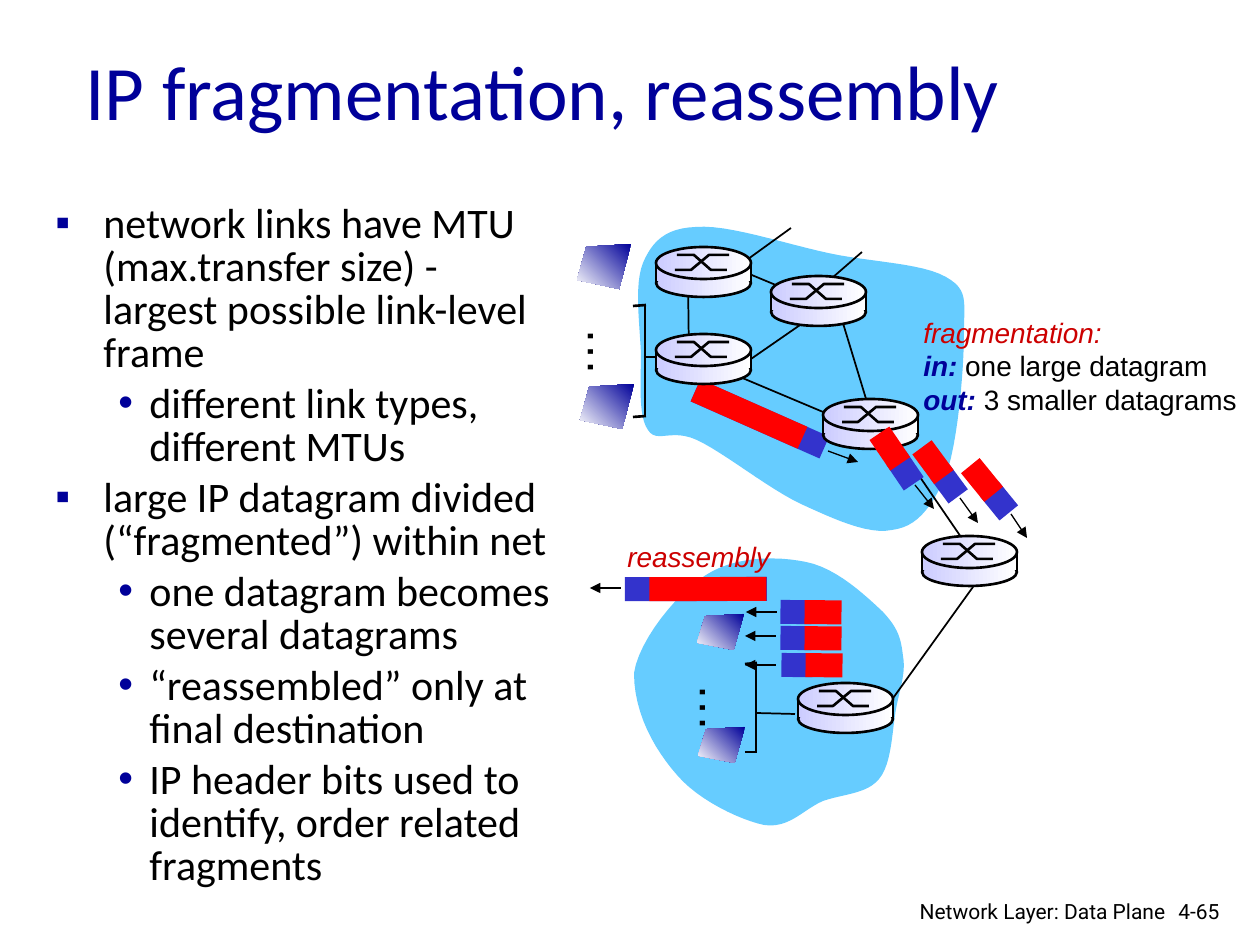
from math import cos, radians, sin
from typing import NamedTuple

from lxml.etree import SubElement
from pptx import Presentation
from pptx.dml.color import RGBColor
from pptx.enum.shapes import MSO_CONNECTOR as Connector, MSO_SHAPE as Preset
from pptx.enum.text import MSO_ANCHOR as Anchor, MSO_AUTO_SIZE as AutoSize, PP_ALIGN as Align
from pptx.oxml.ns import qn
from pptx.util import Emu, Pt

BLACK = RGBColor(0x00, 0x00, 0x00)
WHITE = RGBColor(0xFF, 0xFF, 0xFF)
NAVY = RGBColor(0x00, 0x00, 0x99)
CRIMSON = RGBColor(0xCC, 0x00, 0x00)
SKY = RGBColor(0x66, 0xCC, 0xFF)
HEADER_BLUE = RGBColor(0x33, 0x33, 0xCC)
PAYLOAD_RED = RGBColor(0xFF, 0x00, 0x00)
LAVENDER = RGBColor(0xCC, 0xCC, 0xFF)
EMU_PER_PX = 914400 / 126
PACKET_HEIGHT = 24
CURVE_STEPS = 12


class Line(NamedTuple):
    x1: int
    y1: int
    x2: int
    y2: int


class Packet(NamedTuple):
    x: int
    y: int
    angle: float
    header: int = 31
    payload: int = 37
    offset: int = 27


class Host(NamedTuple):
    x: int
    y: int
    width: int
    height: int


class Run(NamedTuple):
    text: str
    color: RGBColor = BLACK
    bold: bool = False
    italic: bool = False


class Label(NamedTuple):
    x: int
    y: int
    width: int
    height: int
    font: str
    size: int
    paragraphs: list
    wrap: bool = False
    rotation: int = 0
    align: Align = Align.LEFT


CLOUDS = [
    [(696, 227), (665, 228), (652, 242), (643, 263), (634, 285), (640, 326), (641, 354),
     (641, 382), (638, 416), (648, 430), (657, 444), (671, 428), (697, 440),
     (723, 452), (769, 489), (801, 504), (834, 519), (868, 535), (892, 530),
     (916, 527), (930, 510), (945, 478), (958, 445), (964, 368), (964, 335),
     (964, 301), (969, 290), (946, 277), (922, 263), (869, 262), (828, 253),
     (786, 244), (727, 224), (696, 227)],
    [(634, 673), (639, 640), (677, 593), (706, 575), (735, 556), (777, 556), (806, 562),
     (837, 568), (867, 597), (883, 612), (899, 629), (901, 640), (903, 656),
     (906, 673), (900, 688), (896, 709), (892, 730), (892, 764), (879, 779),
     (867, 794), (843, 794), (823, 801), (804, 809), (789, 829), (764, 825),
     (740, 820), (698, 800), (677, 775), (655, 750), (634, 714), (634, 673)],
]
LINKS = [
    Line(644, 357, 661, 357), Line(723, 263, 814, 301), Line(839, 310, 867, 402),
    Line(688, 278, 689, 359), Line(721, 369, 854, 425), Line(961, 537, 896, 442),
    Line(829, 305, 725, 377), Line(791, 228, 726, 275), Line(862, 252, 824, 285),
    Line(978, 580, 891, 701), Line(756, 713, 795, 714),
    Line(645, 305, 645, 416), Line(756, 662, 756, 751),
]
BRACKET_ENDS = [
    Line(633, 306, 646, 305), Line(633, 417, 646, 416),
    Line(745, 664, 757, 663), Line(745, 752, 757, 752),
]
ARROWS = [
    Line(828, 451, 858, 462), Line(777, 612, 746, 612), Line(776, 636, 745, 636),
    Line(776, 665, 745, 665), Line(621, 588, 590, 588), Line(915, 485, 934, 509),
    Line(960, 498, 978, 523), Line(1011, 514, 1027, 538),
]
ROUTERS = [(823, 399), (656, 247), (656, 334), (771, 276), (922, 536), (798, 683)]
LARGE_DATAGRAM = Packet(760, 419, 23.9, 141, 117, 12)
PACKETS = [
    Packet(796, 612, 180.4), Packet(796, 638, 180.4), Packet(797, 665, 180.4),
    Packet(696, 589, 179.9, 142, 117, 12),
    Packet(905, 471, 55.8), Packet(949, 484, 53.6), Packet(999, 501, 50.9),
]
HOSTS = [Host(577, 244, 54, 45), Host(580, 384, 54, 45),
         Host(697, 614, 47, 36), Host(698, 727, 47, 36)]
LABELS = [
    Label(911, 309, 340, 113, "Arial", 16, [
        [Run("fragmentation:", CRIMSON, italic=True)],
        [Run("in:", NAVY, True, True), Run(" one large datagram")],
        [Run("out:", NAVY, True, True), Run(" 3 smaller datagrams")]]),
    Label(615, 533, 169, 47, "Arial", 16, [[Run("reassembly", CRIMSON, italic=True)]]),
    Label(570, 316, 74, 72, "Arial", 28, [[Run("…")]], rotation=90),
    Label(682, 672, 74, 72, "Arial", 28, [[Run("…")]], rotation=90),
    Label(1166, 892, 77, 38, "Roboto", 12, [[Run("4-65")]], wrap=True),
    Label(878, 892, 300, 33, "Roboto", 12, [[Run("Network Layer: Data Plane")]],
          wrap=True, align=Align.RIGHT),
]
BULLETS = [
    (0, "network links have MTU (max.transfer size) - largest possible link-level frame"),
    (1, "different link types, different MTUs"),
    (0, "large IP datagram divided (“fragmented”) within net"),
    (1, "one datagram becomes several datagrams"),
    (1, "“reassembled” only at final destination"),
    (1, "IP header bits used to identify, order related fragments"),
]
BULLET_STYLES = [("▪", 48, 48), ("•", 94, 31)]


def px(value: float) -> Emu:
    return Emu(round(value * EMU_PER_PX))


def paint(shape, colors=(), angle: int = 0, line: float = 0) -> None:
    shape.shadow.inherit = False
    if len(colors) == 2:
        shape.fill.gradient()
        shape.fill.gradient_angle = angle
        for stop, color in zip(shape.fill.gradient_stops, colors):
            stop.color.rgb = color
    elif colors:
        shape.fill.solid()
        shape.fill.fore_color.rgb = colors[0]
    else:
        shape.fill.background()
    if line:
        shape.line.color.rgb = BLACK
        shape.line.width = Pt(line)
    else:
        shape.line.fill.background()


def add_preset(slide, preset, x: float, y: float, width: int, height: int):
    return slide.shapes.add_shape(preset, px(x), px(y), px(width), px(height))


def add_outline(slide, points: list, close: bool = True):
    corners = [(px(x), px(y)) for x, y in points]
    builder = slide.shapes.build_freeform(*corners[0])
    builder.add_line_segments(corners[1:], close=close)
    return builder.convert_to_shape()


def add_line(slide, line: Line, width: float, arrow: bool = False) -> None:
    connector = slide.shapes.add_connector(Connector.STRAIGHT, *map(px, line))
    connector.line.color.rgb = BLACK
    connector.line.width = Pt(width)
    if arrow:
        SubElement(connector.line._get_or_add_ln(), qn("a:tailEnd"), type="triangle")
    SubElement(connector._element.spPr, qn("a:effectLst"))


def add_cloud(slide, controls: list) -> None:
    points = [controls[0]]
    for start in range(0, len(controls) - 1, 3):
        curve = controls[start:start + 4]
        for step in range(1, CURVE_STEPS + 1):
            t = step / CURVE_STEPS
            weights = ((1 - t) ** 3, 3 * t * (1 - t) ** 2, 3 * t * t * (1 - t), t ** 3)
            points.append(tuple(sum(w * p[axis] for w, p in zip(weights, curve))
                                for axis in (0, 1)))
    paint(add_outline(slide, points), [SKY])


def add_packet(slide, packet: Packet) -> None:
    angle = radians(packet.angle)
    for length, shift, color in ((packet.header, 0, HEADER_BLUE),
                                 (packet.payload, packet.offset, PAYLOAD_RED)):
        x = packet.x - shift * cos(angle) - length / 2
        y = packet.y - shift * sin(angle) - PACKET_HEIGHT / 2
        block = add_preset(slide, Preset.RECTANGLE, x, y, length, PACKET_HEIGHT)
        block.rotation = packet.angle
        paint(block, [color])


def add_router(slide, x: int, y: int) -> None:
    for preset, top, height, line in ((Preset.OVAL, 22, 28, 1.5),
                                      (Preset.RECTANGLE, 18, 16, 0), (Preset.OVAL, 0, 32, 1.5)):
        paint(add_preset(slide, preset, x, y + top, 95, height), [LAVENDER, WHITE], line=line)
    for path_points in ([(19, 23), (35, 23), (53, 8), (73, 8)],
                        [(21, 8), (38, 8), (55, 23), (71, 23)]):
        points = [(x + dx, y + dy) for dx, dy in path_points]
        paint(add_outline(slide, points, close=False), line=1.5)
    for side in (x, x + 95):
        add_line(slide, Line(side, y + 15, side, y + 36), 1.5)


def add_host(slide, host: Host) -> None:
    corners = [(1, 0), (0.17, 0.06), (0, 0.8), (0.78, 1)]
    points = [(host.x + host.width * u, host.y + host.height * v) for u, v in corners]
    paint(add_outline(slide, points), [NAVY, WHITE], angle=225)


def add_run(paragraph, run: Run, font: str, size: int) -> None:
    text_run = paragraph.add_run()
    text_run.text = run.text
    text_run.font.name, text_run.font.size = font, Pt(size)
    text_run.font.bold, text_run.font.italic = run.bold, run.italic
    text_run.font.color.rgb = run.color


def add_label(slide, label: Label) -> None:
    box = slide.shapes.add_textbox(*map(px, label[:4]))
    box.rotation = label.rotation
    frame = box.text_frame
    frame.word_wrap = label.wrap
    frame.auto_size = AutoSize.NONE if label.wrap else AutoSize.SHAPE_TO_FIT_TEXT
    for index, runs in enumerate(label.paragraphs):
        paragraph = frame.add_paragraph() if index else frame.paragraphs[0]
        paragraph.alignment = label.align
        for run in runs:
            add_run(paragraph, run, label.font, label.size)


def add_title(slide, text: str) -> None:
    title = slide.shapes.title
    title.left, title.top, title.width, title.height = map(px, (73, 25, 1071, 129))
    title.text_frame.vertical_anchor = Anchor.MIDDLE
    paragraph = title.text_frame.paragraphs[0]
    paragraph.alignment = Align.LEFT
    add_run(paragraph, Run(text, NAVY), "Calibri", 44)


def add_bullets(slide) -> None:
    frame = slide.shapes.add_textbox(*map(px, (43, 198, 525, 702))).text_frame
    frame.word_wrap = True
    for index, (level, text) in enumerate(BULLETS):
        paragraph = frame.add_paragraph() if index else frame.paragraphs[0]
        paragraph.level = level
        paragraph.line_spacing = 0.85
        paragraph.space_before = Pt(4.8 if index else 0)
        mark, margin, hang = BULLET_STYLES[level]
        properties = paragraph._p.get_or_add_pPr()
        properties.set("marL", str(px(margin)))
        properties.set("indent", str(-px(hang)))
        SubElement(SubElement(properties, qn("a:buClr")), qn("a:srgbClr"), val=str(NAVY))
        SubElement(properties, qn("a:buFont"), typeface="Arial")
        SubElement(properties, qn("a:buChar"), char=mark)
        add_run(paragraph, Run(text), "Calibri", 24)


def main() -> None:
    presentation = Presentation()
    presentation.slide_width, presentation.slide_height = px(1260), px(945)
    slide = presentation.slides.add_slide(presentation.slide_layouts[5])
    add_title(slide, "IP fragmentation, reassembly")
    add_bullets(slide)
    for cloud in CLOUDS:
        add_cloud(slide, cloud)
    for link in LINKS:
        add_line(slide, link, 1)
    add_packet(slide, LARGE_DATAGRAM)
    for router in ROUTERS:
        add_router(slide, *router)
    for packet in PACKETS:
        add_packet(slide, packet)
    for arrow in ARROWS:
        add_line(slide, arrow, 0.75, arrow=True)
    for end in BRACKET_ENDS:
        add_line(slide, end, 1.5)
    for host in HOSTS:
        add_host(slide, host)
    for label in LABELS:
        add_label(slide, label)
    presentation.save("out.pptx")


if __name__ == "__main__":
    main()
